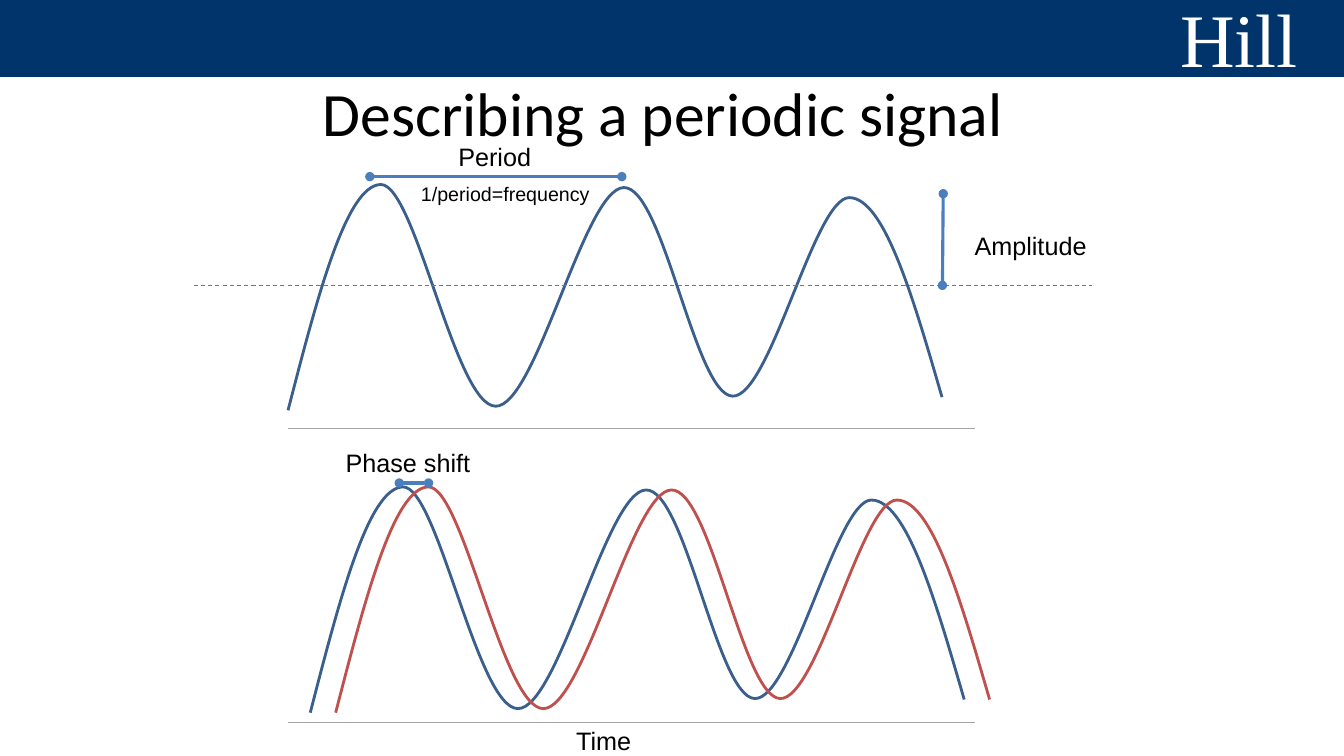
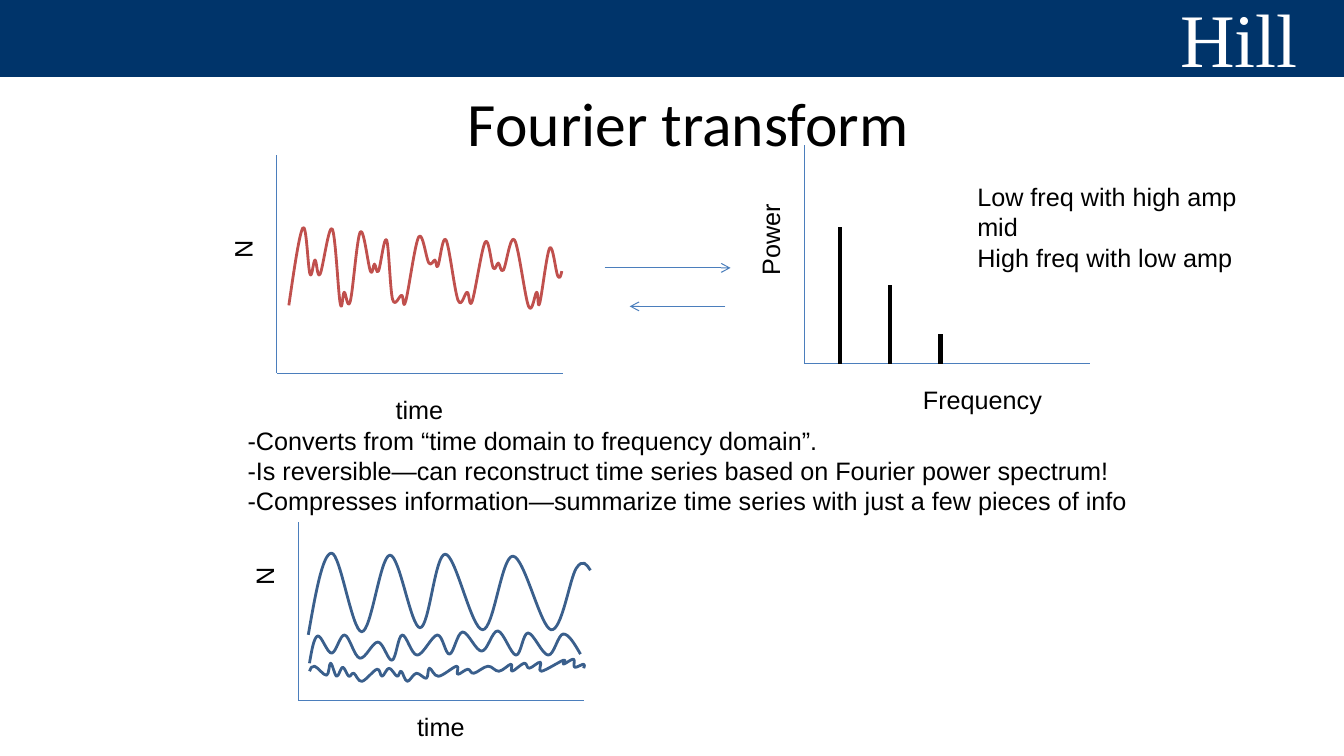
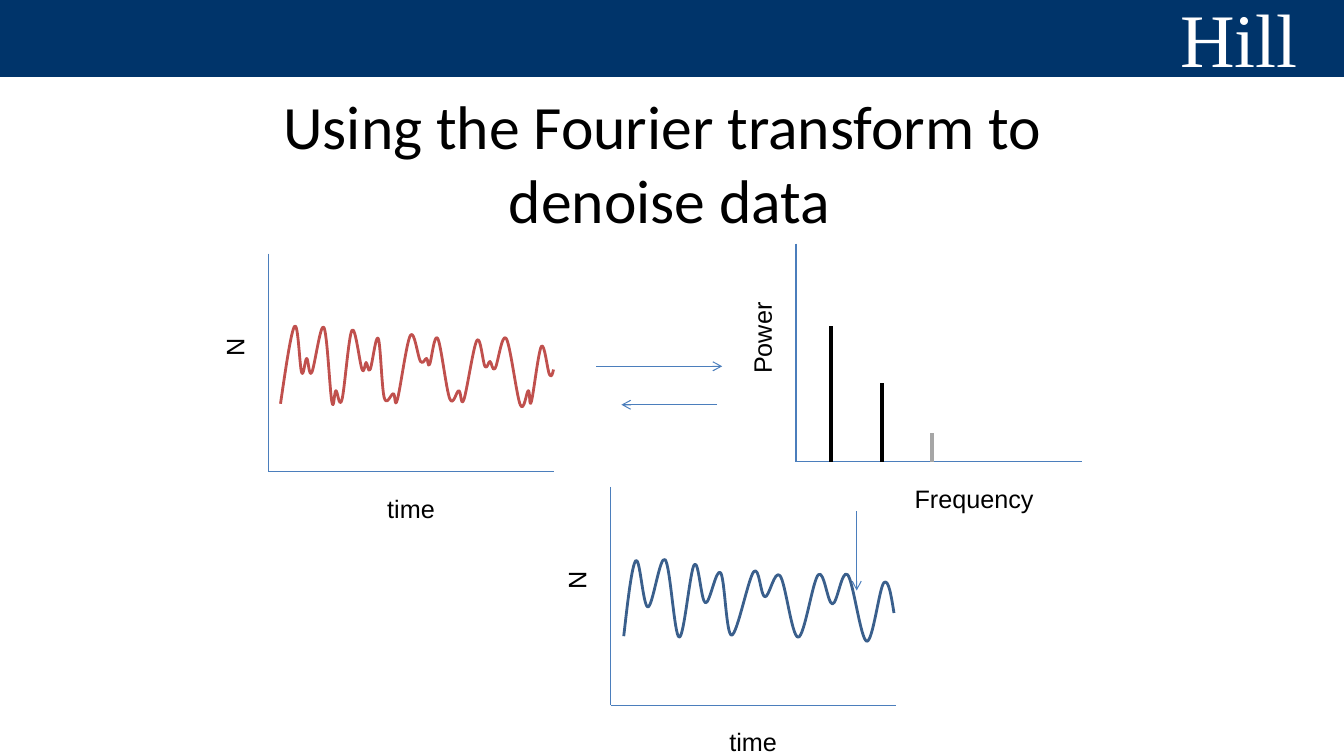
from pptx import Presentation
from pptx.dml.color import RGBColor
from pptx.enum.dml import MSO_LINE
from pptx.enum.shapes import MSO_CONNECTOR, MSO_SHAPE
from pptx.enum.text import MSO_ANCHOR, PP_ALIGN
from pptx.oxml.ns import qn
from pptx.util import Cm, Pt
from lxml.etree import SubElement

NAVY = RGBColor(0x00, 0x34, 0x6A)
BLUE = RGBColor(0x4B, 0x7E, 0xBC)
DARK_BLUE = RGBColor(0x3A, 0x5F, 0x8C)
RED = RGBColor(0xC0, 0x50, 0x4D)
GRAY = RGBColor(0xA6, 0xA6, 0xA6)
BLACK = RGBColor(0x00, 0x00, 0x00)
WHITE = RGBColor(0xFF, 0xFF, 0xFF)

SLIDE_WIDTH = 33.87
SLIDE_HEIGHT = 19.05
LABEL_HEIGHT = 1.02
LABEL_WIDTHS = {"time": 1.73, "Frequency": 3.53, "N": 0.97, "Power": 2.34}
AXIS_WIDTH = 7.2
BAR_HEIGHTS = (3.43, 1.98, 0.74)
BAR_STEP = 1.27

PERIODIC_WAVE = [(0, 224), (92, 0), (206, 220), (333, 3), (441, 210), (557, 13), (649, 211)]
NOISY_WAVE = [
    (0, 77), (14, 0), (21, 46), (26, 32), (31, 46), (43, 1), (51, 75), (55, 64), (61, 73),
    (71, 4), (81, 43), (85, 36), (89, 43), (97, 12), (103, 71), (112, 67), (116, 73),
    (129, 9), (139, 35), (145, 32), (148, 38), (156, 12), (168, 72), (177, 64), (182, 73),
    (195, 14), (203, 40), (208, 35), (213, 42), (224, 12), (238, 78), (246, 64), (249, 75),
    (259, 20), (267, 48), (271, 43),
]
LOW_WAVE = [
    (0, 81), (23, 0), (53, 78), (81, 2), (111, 74), (136, 1), (173, 76), (203, 3),
    (241, 76), (266, 15), (280, 17),
]
MIDDLE_WAVE = [
    (0, 32), (8, 5), (22, 22), (35, 4), (50, 27), (68, 11), (82, 29), (92, 4), (107, 24),
    (127, 4), (139, 23), (152, 1), (171, 20), (187, 0), (205, 24), (217, 2), (237, 24),
    (252, 3), (269, 23),
]
HIGH_WAVE = [
    (0, 12), (5, 7), (17, 16), (21, 4), (27, 17), (33, 8), (39, 17), (44, 14), (52, 22),
    (67, 10), (72, 17), (79, 9), (87, 17), (91, 12), (97, 22), (106, 14), (116, 19),
    (119, 9), (128, 17), (146, 7), (147, 15), (157, 10), (163, 14), (177, 7), (188, 12),
    (200, 5), (201, 12), (213, 4), (218, 9), (229, 3), (230, 12), (252, 1), (252, 5),
    (262, 0), (263, 8), (272, 5), (272, 9),
]
DENOISED_WAVE = [
    (0, 76), (12, 1), (24, 47), (41, 0), (55, 77), (70, 5), (81, 43), (96, 13), (107, 75),
    (129, 12), (140, 37), (155, 16), (173, 77), (193, 15), (207, 44), (222, 15), (241, 81),
    (258, 23), (268, 53),
]


def add_text(slide, text, left, top, width, height=LABEL_HEIGHT, size=18, font="Arial",
             color=BLACK, wrap=False):
    box = slide.shapes.add_textbox(Cm(left), Cm(top), Cm(width), Cm(height))
    frame = box.text_frame
    frame.word_wrap = wrap
    frame.text = text
    for paragraph in frame.paragraphs:
        paragraph.font.name = font
        paragraph.font.size = Pt(size)
        paragraph.font.color.rgb = color
    return box


def add_line(slide, start, end, color=BLUE, weight=0.75, head=None, tail=None):
    connector = slide.shapes.add_connector(
        MSO_CONNECTOR.STRAIGHT, Cm(start[0]), Cm(start[1]), Cm(end[0]), Cm(end[1]))
    connector.line.color.rgb = color
    connector.line.width = Pt(weight)
    properties = connector.element.spPr
    for name, kind in (("a:headEnd", head), ("a:tailEnd", tail)):
        if kind:
            SubElement(properties.find(qn("a:ln")), qn(name), type=kind)
    SubElement(properties, qn("a:effectLst"))
    return connector


def add_measure(slide, start, end):
    add_line(slide, start, end, weight=2.25, head="oval", tail="oval")


def midpoint(first, second):
    return (first[0] + second[0]) / 2, (first[1] + second[1]) / 2


def curve_points(knots):
    handles = [
        ((after[0] - before[0]) / 6, (after[1] - before[1]) / 6)
        for before, after in zip(knots, knots[2:])
    ]
    arriving = [(x - dx, y - dy) for (x, y), (dx, dy) in zip(knots[1:], handles)]
    leaving = [(x + dx, y + dy) for (x, y), (dx, dy) in zip(knots[1:], handles)]
    leaving.insert(0, midpoint(knots[0], arriving[0]))
    arriving.append(midpoint(leaving[-1], knots[-1]))
    return [point for segment in zip(leaving, arriving, knots[1:]) for point in segment]


def add_wave(slide, knots, left, top, width, color):
    scale = Cm(width) / knots[-1][0]

    def place(point):
        return round(Cm(left) + point[0] * scale), round(Cm(top) + point[1] * scale)

    builder = slide.shapes.build_freeform(*place(knots[0]))
    builder.add_line_segments([place(point) for point in curve_points(knots)], close=False)
    shape = builder.convert_to_shape()
    shape.shadow.inherit = False
    shape.fill.background()
    shape.line.color.rgb = color
    shape.line.width = Pt(2)
    segments = list(shape.element.iter(qn("a:lnTo")))
    for curve, *others in zip(segments[::3], segments[1::3], segments[2::3]):
        curve.tag = qn("a:cubicBezTo")
        for other in others:
            curve.append(other[0])
            other.getparent().remove(other)


def add_axes(slide, left, top, x_label, y_label, height=5.5, x_gap=0.41, y_drop=2.36):
    bottom = top + height
    add_line(slide, (left, top), (left, bottom))
    add_line(slide, (left, bottom), (left + AXIS_WIDTH, bottom))
    add_text(slide, x_label, left + 2.74, bottom + x_gap, LABEL_WIDTHS[x_label])
    y_width = LABEL_WIDTHS[y_label]
    label = add_text(slide, y_label, left - 0.86 - y_width / 2,
                     top + y_drop - LABEL_HEIGHT / 2, y_width)
    label.rotation = 270


def add_transform(slide, left, top, bar_colors):
    add_axes(slide, left, top, "time", "N")
    add_wave(slide, NOISY_WAVE, left + 0.3, top + 1.83, 6.88, RED)
    add_line(slide, (left + 8.26, top + 2.84), (left + 11.43, top + 2.84), tail="arrow")
    add_line(slide, (left + 11.3, top + 3.81), (left + 8.89, top + 3.81), tail="arrow")
    spectrum_left, spectrum_top = left + 13.29, top - 0.25
    add_axes(slide, spectrum_left, spectrum_top, "Frequency", "Power")
    base = spectrum_top + 5.5
    for index, (height, color) in enumerate(zip(BAR_HEIGHTS, bar_colors)):
        x = spectrum_left + 0.89 + index * BAR_STEP
        add_line(slide, (x, base), (x, base - height), color, 3)


def add_titled_slide(presentation, title, left, top, width=22.86):
    slide = presentation.slides.add_slide(presentation.slide_layouts[6])
    band = slide.shapes.add_shape(MSO_SHAPE.RECTANGLE, 0, 0, Cm(SLIDE_WIDTH), Cm(1.9))
    band.shadow.inherit = False
    band.fill.solid()
    band.fill.fore_color.rgb = NAVY
    band.line.color.rgb = NAVY
    band.line.width = Pt(2)
    add_text(slide, "Hill", 29.49, -0.33, 4.38, 2.57, 54, "Times New Roman", WHITE, wrap=True)
    box = add_text(slide, title, left, top, width, 3.18, 44, "Calibri", wrap=True)
    box.text_frame.vertical_anchor = MSO_ANCHOR.MIDDLE
    box.text_frame.paragraphs[0].alignment = PP_ALIGN.CENTER
    return slide


def build_periodic_signal(presentation):
    slide = add_titled_slide(presentation, "Describing a periodic signal", 5.28, 1.24)
    for left, top, color in ((7.26, 4.65, DARK_BLUE), (7.82, 12.27, DARK_BLUE), (8.46, 12.27, RED)):
        add_wave(slide, PERIODIC_WAVE, left, top, 16.48, color)
    add_measure(slide, (9.32, 4.45), (15.67, 4.45))
    add_measure(slide, (23.75, 7.19), (23.77, 4.88))
    add_measure(slide, (10.8, 12.17), (10.06, 12.17))
    midline = add_line(slide, (4.88, 7.19), (27.51, 7.19))
    midline.line.dash_style = MSO_LINE.DASH
    for y in (10.8, 18.21):
        add_line(slide, (7.26, y), (24.56, y), GRAY, 1)
    add_text(slide, "Period", 11.3, 3.43, 2.36)
    add_text(slide, "Amplitude", 24.31, 5.69, 3.35)
    add_text(slide, "1/period=frequency", 10.36, 4.45, 4.78, 0.86, 14)
    add_text(slide, "Phase shift", 8.46, 11.15, 3.68)
    add_text(slide, "Time", 14.27, 18.16, 1.9)


def build_fourier_transform(presentation):
    slide = add_titled_slide(presentation, "Fourier transform", 5.92, 1.47)
    add_transform(slide, 6.98, 3.91, (BLACK, BLACK, BLACK))
    add_text(slide, "Low freq with high amp\nmid\nHigh freq with low amp",
             24.38, 4.45, 7.19, 2.57, wrap=True)
    add_text(slide, "-Converts from “time domain to frequency domain”.\n"
             "-Is reversible—can reconstruct time series based on Fourier power spectrum!\n"
             "-Compresses information—summarize time series with just a few pieces of info",
             5.99, 10.59, 22.89, 2.57)
    add_axes(slide, 7.52, 13.16, "time", "N", height=4.5, x_gap=0.13, y_drop=1.35)
    add_wave(slide, LOW_WAVE, 7.77, 13.94, 7.11, DARK_BLUE)
    add_wave(slide, MIDDLE_WAVE, 7.8, 15.9, 6.83, DARK_BLUE)
    add_wave(slide, HIGH_WAVE, 7.8, 16.61, 6.91, DARK_BLUE)


def build_denoising(presentation):
    slide = add_titled_slide(
        presentation, "Using the Fourier transform to \vdenoise data", 4.19, 2.49, 25.37)
    add_transform(slide, 6.77, 6.39, (BLACK, BLACK, GRAY))
    add_line(slide, (21.59, 12.88), (21.59, 14.88), tail="arrow")
    add_axes(slide, 15.39, 12.27, "time", "N")
    add_wave(slide, DENOISED_WAVE, 15.72, 14.1, 6.81, DARK_BLUE)


def main():
    presentation = Presentation()
    presentation.slide_width = Cm(SLIDE_WIDTH)
    presentation.slide_height = Cm(SLIDE_HEIGHT)
    build_periodic_signal(presentation)
    build_fourier_transform(presentation)
    build_denoising(presentation)
    presentation.save("out.pptx")


if __name__ == "__main__":
    main()
